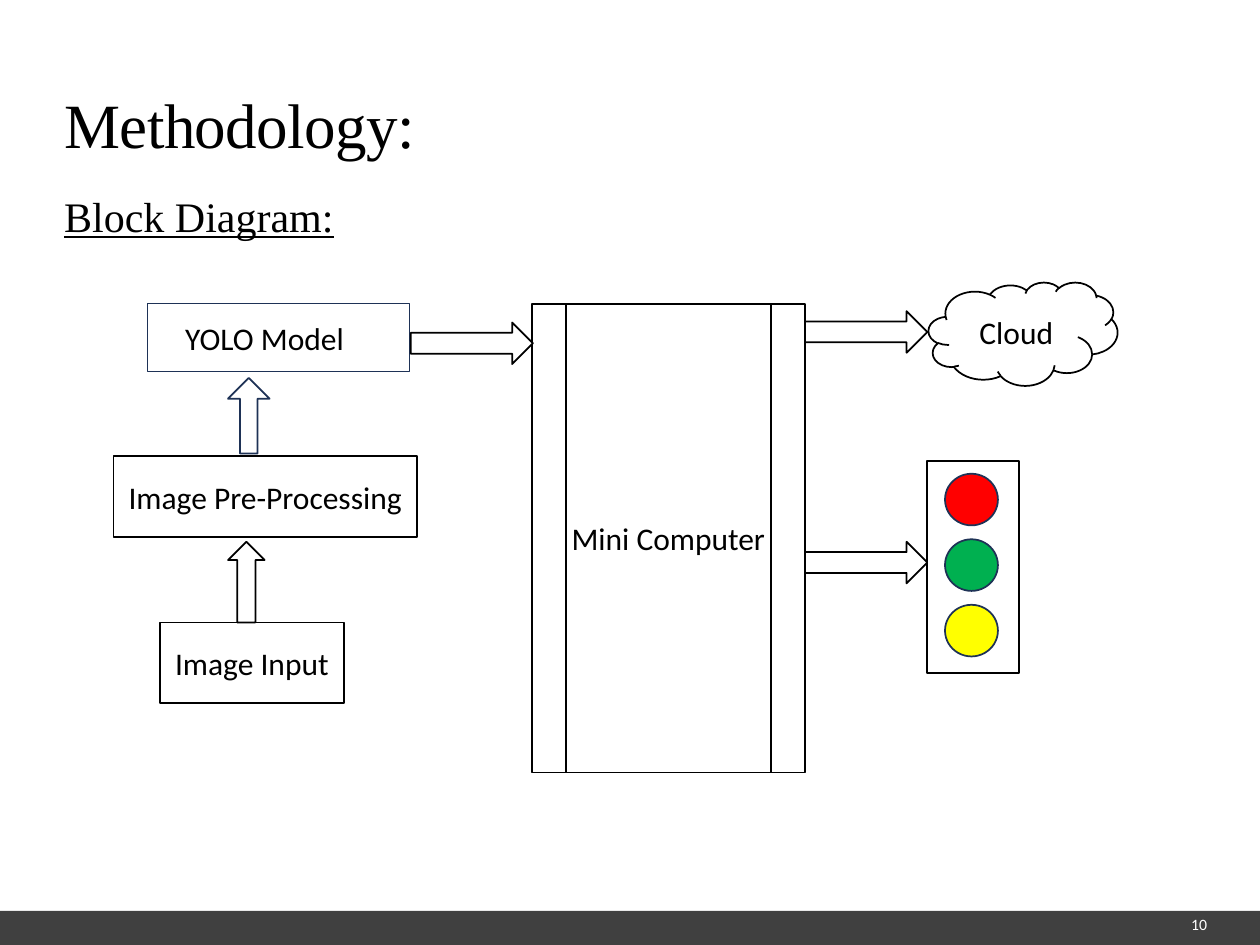
from pptx import Presentation
from pptx.dml.color import RGBColor
from pptx.enum.shapes import MSO_SHAPE
from pptx.enum.text import MSO_ANCHOR, MSO_AUTO_SIZE, PP_ALIGN
from pptx.util import Inches, Pt
from lxml import etree

RECTANGLE, ELLIPSE, CLOUD = MSO_SHAPE.RECTANGLE, MSO_SHAPE.OVAL, MSO_SHAPE.CLOUD
PROCESS = MSO_SHAPE.FLOWCHART_PREDEFINED_PROCESS
RIGHT_ARROW, UP_ARROW = MSO_SHAPE.RIGHT_ARROW, MSO_SHAPE.UP_ARROW
LEFT, CENTER, RIGHT = PP_ALIGN.LEFT, PP_ALIGN.CENTER, PP_ALIGN.RIGHT
TOP, MIDDLE = MSO_ANCHOR.TOP, MSO_ANCHOR.MIDDLE

COLORS = {
    "black": "000000", "white": "FFFFFF", "navy": "1E3256", "footer": "404040",
    "red": "FF0000", "green": "00B050", "yellow": "FFFF00",
}
SERIF, SANS = "Times New Roman", "Calibri"

# The slide is a grid of 100 columns by 75 rows; all lengths are in cells
CELL = Inches(0.1)
COLUMNS, ROWS = 100, 75


def cells(*lengths):
    return [round(length * CELL) for length in lengths]


def color(name):
    return RGBColor.from_string(COLORS[name])


def within(box, left, top, width, height):
    """Move a part by the corner of the region that holds it."""
    return box[0] + left, box[1] + top, width, height


def write(shape, text, size, font=SANS, ink="black", align=CENTER, anchor=MIDDLE):
    frame = shape.text_frame
    frame.text = text
    frame.vertical_anchor = anchor
    paragraph = frame.paragraphs[0]
    paragraph.alignment = align
    paragraph.font.size = Pt(size)
    paragraph.font.name = font
    paragraph.font.color.rgb = color(ink)
    return paragraph


def add_part(slide, kind, box, text="", fill="white", line="black"):
    shape = slide.shapes.add_shape(kind, *cells(*box))
    shape.shadow.inherit = False
    shape.fill.solid()
    shape.fill.fore_color.rgb = color(fill)
    if line:
        shape.line.color.rgb = color(line)
        shape.line.width = Pt(1)
    else:
        shape.line.fill.background()
    if text:
        write(shape, text, 18)
        shape.text_frame.word_wrap = False
    return shape


def fill_heading(placeholder, box, text, size):
    placeholder.left, placeholder.top, placeholder.width, placeholder.height = cells(*box)
    paragraph = write(placeholder, text, size, SERIF, align=LEFT, anchor=TOP)
    paragraph.space_before = Pt(1)
    frame = placeholder.text_frame
    frame.auto_size = MSO_AUTO_SIZE.NONE
    frame.margin_left = frame.margin_right = frame.margin_bottom = 0
    frame.margin_top = Inches(0.01)
    # No bullet and no hanging indent
    properties = paragraph._p.get_or_add_pPr()
    properties.set("marL", str(Inches(0.01)))
    properties.set("indent", "0")
    namespace = properties.nsmap["a"]
    bullet = etree.Element(f"{{{namespace}}}buNone")
    spacing = properties.find(f"{{{namespace}}}spcBef")
    spacing.addnext(bullet)
    return paragraph


def add_headings(slide, box):
    title = fill_heading(slide.shapes.title, within(box, 0, 0, 30, 6.2), "Methodology:", 36)
    title.runs[0].font._element.set("spc", "-30")
    body = slide.placeholders[1]
    fill_heading(body, within(box, 0, 8.3, 69.4, 4.2), "Block Diagram:", 24).font.underline = True


def add_footer(slide, box):
    add_part(slide, RECTANGLE, box, fill="footer", line=None)
    number = slide.shapes.add_textbox(*cells(*within(box, 73.3, 0.3, 22.5, 1.5)))
    frame = number.text_frame
    frame.margin_left = frame.margin_right = frame.margin_top = frame.margin_bottom = 0
    frame.word_wrap = True
    write(number, "10", 9, ink="white", align=RIGHT).line_spacing = Pt(10.8)


def add_image_steps(slide, box):
    # Steps run from the bottom to the top
    add_part(slide, RECTANGLE, within(box, 3.7, 25.3, 14.6, 6.4), "Image Input")
    add_part(slide, UP_ARROW, within(box, 9.1, 18.9, 2.9, 6.4))
    add_part(slide, RECTANGLE, within(box, 0, 12.1, 24.1, 6.4), "Image Pre-Processing")
    arrow = add_part(slide, UP_ARROW, within(box, 9.1, 5.9, 3.3, 6), line="navy")
    arrow.adjustments[0] = 0.42
    model = add_part(slide, RECTANGLE, within(box, 2.7, 0, 20.8, 5.4), "YOLO Model", line="navy")
    model.text_frame.word_wrap = True
    model.text_frame.margin_left = Inches(0.3)
    model.text_frame.paragraphs[0].alignment = LEFT


def add_controller(slide, box):
    add_part(slide, PROCESS, within(box, 9.6, 0, 21.7, 37.2), "Mini Computer")
    # One arrow leads in, two lead out
    for left, top in ((0, 1.5), (31.3, 0.6), (31.3, 18.9)):
        add_part(slide, RIGHT_ARROW, within(box, left, top, 9.7, 3.3))


def add_traffic_light(slide, box):
    add_part(slide, RECTANGLE, box)
    for index, lamp in enumerate(("red", "green", "yellow")):
        add_part(slide, ELLIPSE, within(box, 1.4, 1 + 5.2 * index, 4.2, 4.1), fill=lamp, line="navy")


def main():
    presentation = Presentation()
    presentation.slide_width, presentation.slide_height = cells(COLUMNS, ROWS)
    slide = presentation.slides.add_slide(presentation.slide_layouts[1])

    add_headings(slide, (5, 6.7))
    add_footer(slide, (0, 72.3, COLUMNS, ROWS - 72.3))
    add_image_steps(slide, (9, 24.1))
    add_controller(slide, (32.6, 24.1))
    add_part(slide, CLOUD, (73.7, 22.4, 15, 8.2), "Cloud")
    add_traffic_light(slide, (73.6, 36.6, 7.3, 16.8))

    presentation.save("out.pptx")


if __name__ == "__main__":
    main()
